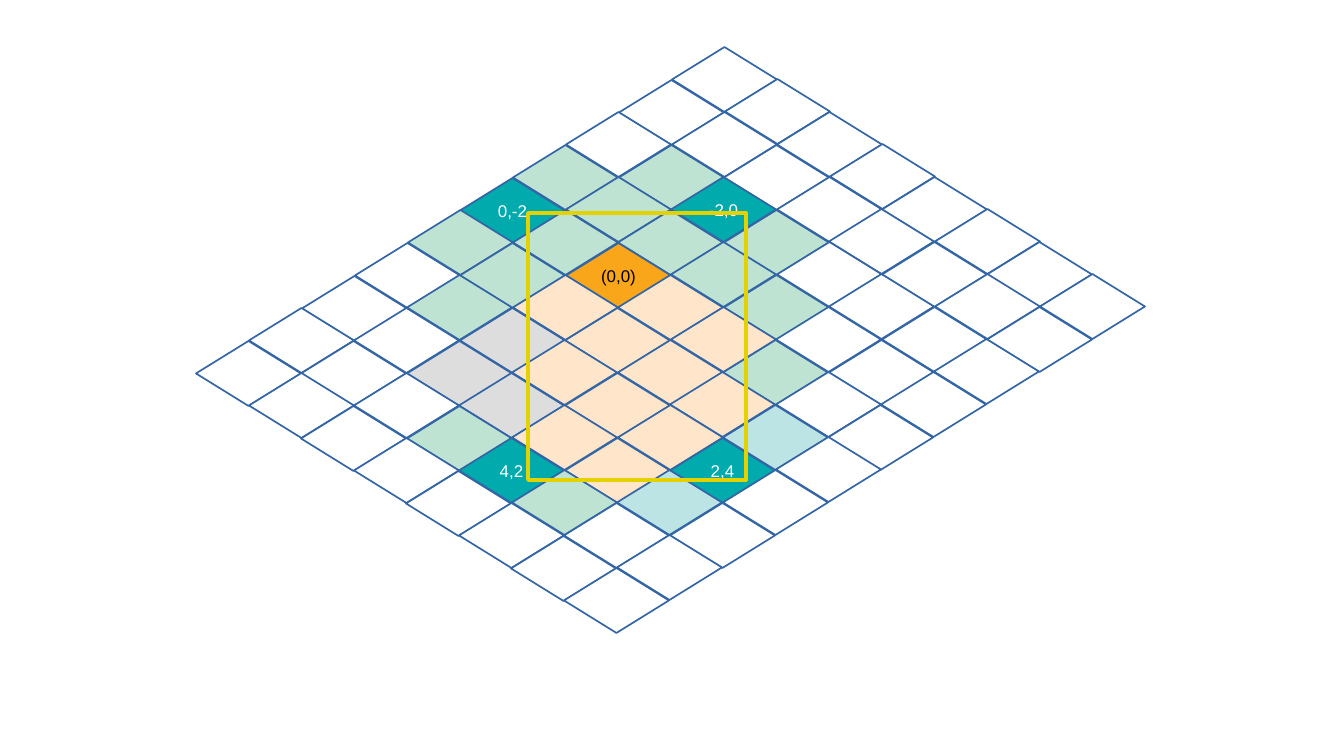
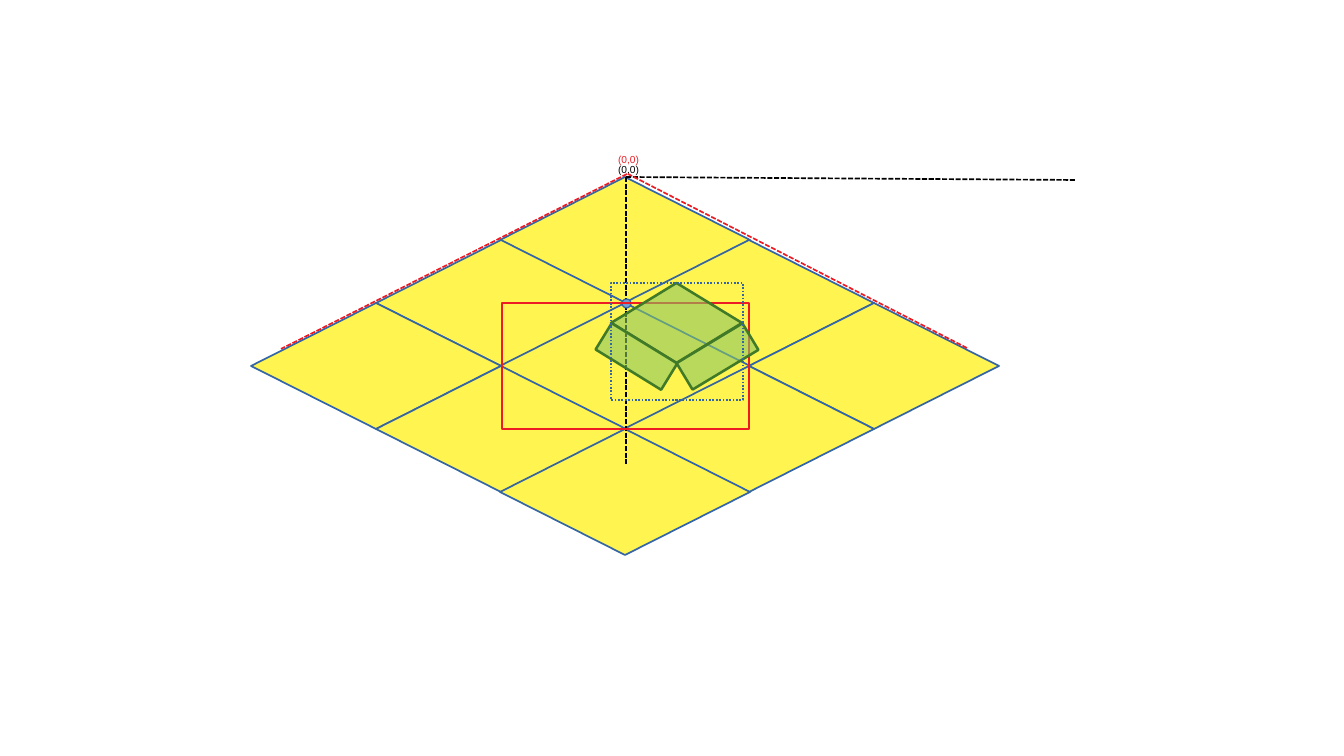
from lxml import etree
from pptx import Presentation
from pptx.dml.color import RGBColor
from pptx.enum.dml import MSO_LINE
from pptx.enum.shapes import MSO_CONNECTOR, MSO_SHAPE
from pptx.enum.text import MSO_ANCHOR, MSO_AUTO_SIZE, PP_ALIGN
from pptx.oxml.ns import qn
from pptx.util import Pt

EMU_PER_PX = 7495
DIAMOND = MSO_SHAPE.DIAMOND
RECTANGLE = MSO_SHAPE.RECTANGLE
OVAL = MSO_SHAPE.OVAL
STRAIGHT = MSO_CONNECTOR.STRAIGHT
DASHED = MSO_LINE.SQUARE_DOT
DOTTED = MSO_LINE.ROUND_DOT

FONT = "Arial"
BLACK, WHITE = "000000", "FFFFFF"
BLUE, RED, GOLD = "3465A4", "ED1C24", "E3D200"
YELLOW, POINT_BLUE = "FFF450", "729FCF"
BOX_GREEN, BOX_EDGE = "89C765", "407927"

# One string per row of the map, one letter per tile
MAP_ROWS = (
    "........",
    "........",
    ".gtg....",
    "ggggg...",
    "tgoppg..",
    "ggppppb.",
    ".gdpppt.",
    "..ddppb.",
    "...gtg..",
    "........",
)
MAP_FILLS = {
    ".": WHITE, "g": "BEE3D3", "t": "00AAAD", "o": "FAA61A",
    "p": "FFE5CA", "b": "BCE4E5", "d": "DDDDDD",
}
ORIGIN_ROW, ORIGIN_COLUMN = 4, 2


def px(length):
    return round(length) * EMU_PER_PX


def rgb(hex_color):
    return RGBColor.from_string(hex_color)


def add_outlined(shapes, kind, box, line_color, width=1.0, fill=None,
                 opacity=None, dash=None):
    """Add a preset shape; box is left, top, width, height in px."""
    shape = shapes.add_shape(kind, *map(px, box))
    shape.shadow.inherit = False
    shape.line.color.rgb = rgb(line_color)
    shape.line.width = Pt(width)
    if dash is not None:
        shape.line.dash_style = dash
    if fill is None:
        shape.fill.background()
        return shape
    shape.fill.solid()
    shape.fill.fore_color.rgb = rgb(fill)
    if opacity is not None:
        color = shape.fill._xPr.find(qn("a:solidFill")).find(qn("a:srgbClr"))
        etree.SubElement(color, qn("a:alpha")).set("val", str(opacity * 1000))
    return shape


def write_text(shape, text, size, color, align):
    frame = shape.text_frame
    frame.word_wrap = False
    frame.text = text
    paragraph = frame.paragraphs[0]
    paragraph.alignment = align
    paragraph.font.name = FONT
    paragraph.font.size = Pt(size)
    paragraph.font.color.rgb = rgb(color)
    return frame


def add_axis(shapes, start, end, color):
    axis = shapes.add_connector(STRAIGHT, *map(px, start + end))
    axis.line.color.rgb = rgb(color)
    axis.line.width = Pt(1)
    axis.line.dash_style = DASHED
    etree.SubElement(axis._element.spPr, qn("a:effectLst"))


def add_origin_label(shapes, left, top, color):
    label = shapes.add_textbox(*map(px, (left, top, 45, 23)))
    frame = write_text(label, "(0,0)", 6, color, PP_ALIGN.LEFT)
    frame.auto_size = MSO_AUTO_SIZE.SHAPE_TO_FIT_TEXT


def add_isometric_grid(shapes, top_tile, row_span, column_span, fills):
    """Lay diamonds from the top tile; spans are the px from first to last tile."""
    left, top, width, height = top_tile
    tiles = {}
    for row, row_fills in enumerate(fills):
        row_part = row / (len(fills) - 1)
        for column, fill in enumerate(row_fills):
            column_part = column / (len(row_fills) - 1)
            x = left + row_part * row_span[0] + column_part * column_span[0]
            y = top + row_part * row_span[1] + column_part * column_span[1]
            tiles[row, column] = add_outlined(
                shapes, DIAMOND, (x, y, width, height), BLUE, fill=fill)
    return tiles


def add_open_box(shapes, left, top):
    """Draw the translucent box with two flaps and its dotted bounds."""
    parts = shapes.add_group_shape().shapes
    add_outlined(parts, DIAMOND, (left, top, 131, 80), BOX_EDGE, 1.5,
                 BOX_GREEN, 58)
    for flap_offset, angle in ((-13, 31.6), (68, 328.9)):
        flap = add_outlined(parts, RECTANGLE,
                            (left + flap_offset, top + 58, 77, 31),
                            BOX_EDGE, 1.5, BOX_GREEN, 60)
        flap.rotation = angle
    add_outlined(shapes, RECTANGLE, (left, top, 132, 117), BLUE, dash=DOTTED)


def build_map_slide(shapes):
    fills = [[MAP_FILLS[letter] for letter in row] for row in MAP_ROWS]
    tiles = add_isometric_grid(shapes, (672, 47, 105, 65),
                               (-476, 294), (368, 227), fills)
    for (row, column), tile in tiles.items():
        kind = MAP_ROWS[row][column]
        if kind not in "to":
            continue
        label = f"{row - ORIGIN_ROW},{column - ORIGIN_COLUMN}"
        if kind == "o":
            label = f"({label})"
        frame = write_text(tile, label, 10, BLACK if kind == "o" else WHITE,
                           PP_ALIGN.CENTER)
        frame.vertical_anchor = MSO_ANCHOR.MIDDLE
    add_outlined(shapes, RECTANGLE, (528, 213, 218, 267), GOLD, 2.3)


def build_axes_slide(shapes):
    add_isometric_grid(shapes, (500, 177, 250, 126),
                       (-249, 126), (249, 126), [[YELLOW] * 3] * 3)
    add_origin_label(shapes, 606, 157, BLACK)
    add_origin_label(shapes, 606, 147, RED)
    for start, end, color in (
        ((626, 177), (626, 464), BLACK),
        ((1075, 180), (626, 177), BLACK),
        ((627, 174), (281, 349), RED),
        ((967, 348), (628, 174), RED),
    ):
        add_axis(shapes, start, end, color)
    add_outlined(shapes, OVAL, (622, 299, 9, 9), BLUE, 0, POINT_BLUE)
    add_outlined(shapes, RECTANGLE, (502, 303, 247, 126), RED, 1.5)
    add_open_box(shapes, 611, 283)


def main():
    deck = Presentation()
    deck.slide_width, deck.slide_height = px(1344), px(756)
    blank = deck.slide_layouts[6]
    for build in (build_map_slide, build_axes_slide):
        build(deck.slides.add_slide(blank).shapes)
    deck.save("out.pptx")


if __name__ == "__main__":
    main()
